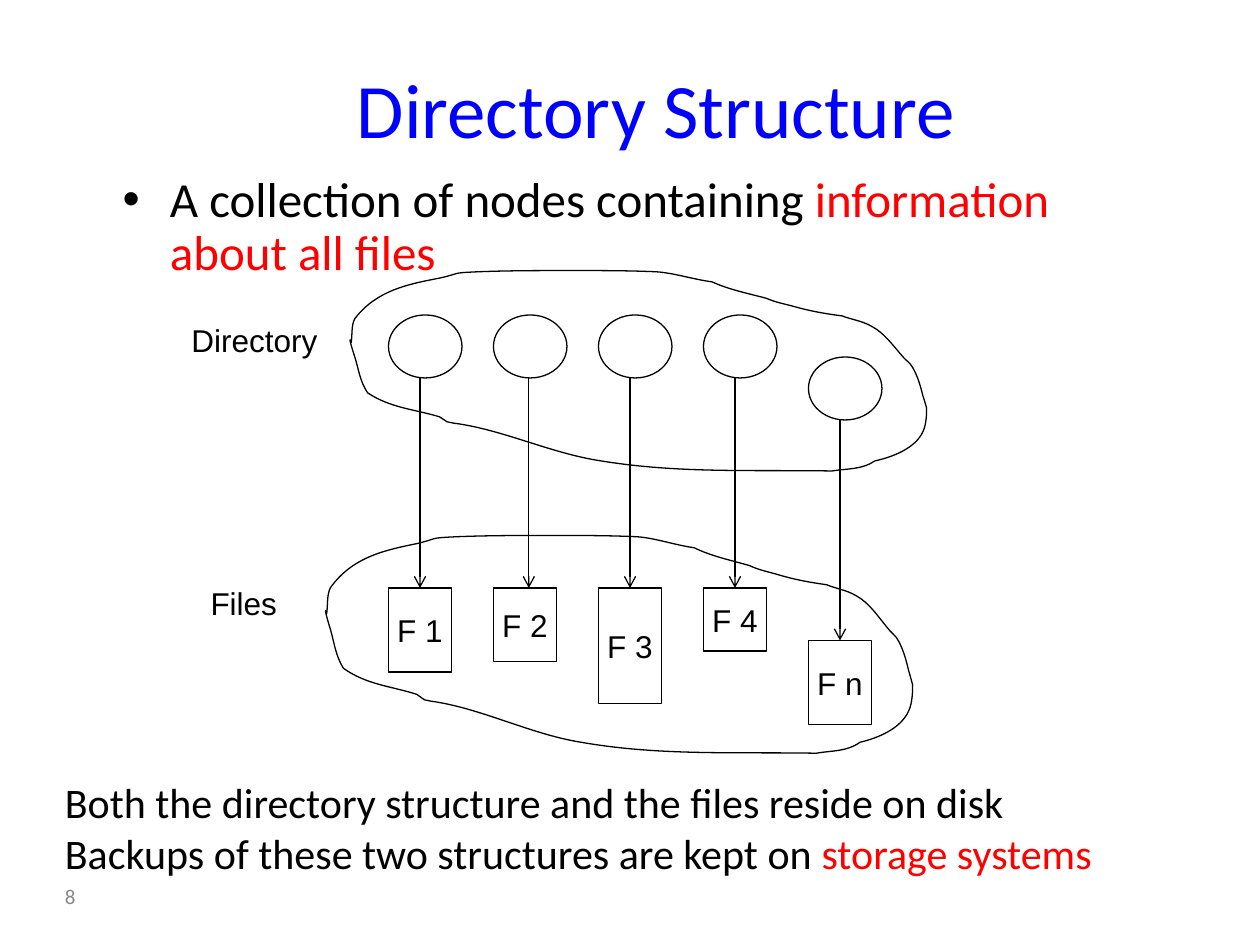
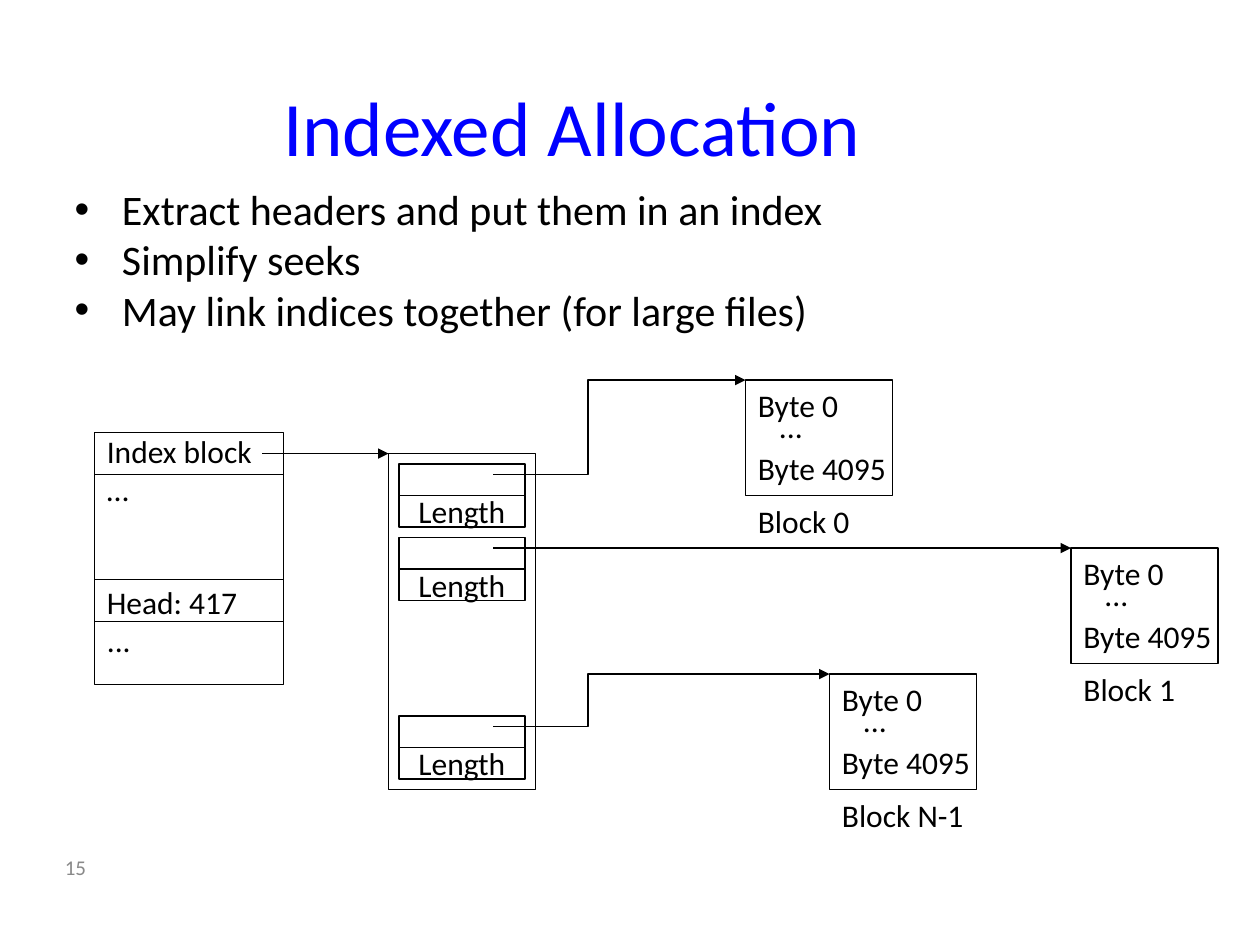
from pptx import Presentation
from pptx.dml.color import RGBColor
from pptx.enum.shapes import MSO_CONNECTOR as Connector, MSO_SHAPE as Shape
from pptx.enum.text import MSO_ANCHOR as Anchor, PP_ALIGN as Align
from pptx.oxml.ns import qn
from pptx.util import Pt
from lxml.etree import SubElement

BLACK = RGBColor(0x00, 0x00, 0x00)
WHITE = RGBColor(0xFF, 0xFF, 0xFF)
BLUE = RGBColor(0x00, 0x00, 0xFF)
RED = RGBColor(0xFF, 0x00, 0x00)
GRAY = RGBColor(0x89, 0x89, 0x89)

HEADING_FONT = "Calibri"
DIAGRAM_FONT = "Arial"
LINE_WIDTH = 0.75
BULLET_INDENT = 27

FILES = [
    ("F 1", 180, 336, 48, 18),
    ("F 2", 180, 336, 42, 20.2),
    ("F 3", 180, 336, 66, 18),
    ("F 4", 180, 336, 36, 18),
    ("F n", 204, 366, 48, 18),
]
FILE_LEFT, FILE_PITCH, FILE_WIDTH = 222, 60, 36
NODE_WIDTH, NODE_HEIGHT = 42, 36

BLOCKS = [
    ("Block 0", 426, 217.2, 265.2),
    ("Block 1", 612, 313.2, 307.2),
    ("Block N-1", 474, 385.2, 409.2),
]
BLOCK_WIDTH, BLOCK_HEIGHT = 84, 66
ENTRY_LEFT, ENTRY_WIDTH, ENTRY_HEIGHT = 228, 72, 18
LINK_START, LINK_BEND = 282, 336

OUTLINE_WIDTH, OUTLINE_HEIGHT = 457, 161
OUTLINE_START = (1, 57)
OUTLINE_CURVES = [
    ((2, 50), (1, 43), (4, 38)),
    ((21, 16), (45, 11), (71, 6)),
    ((89, 2), (79, 2), (101, 1)),
    ((126, 0), (151, 0), (177, 0)),
    ((199, 0), (221, 0), (243, 1)),
    ((257, 2), (272, 7), (287, 9)),
    ((300, 15), (315, 18), (330, 22)),
    ((337, 25), (342, 26), (350, 28)),
    ((364, 32), (375, 34), (390, 36)),
    ((398, 39), (406, 40), (413, 44)),
    ((423, 49), (430, 59), (437, 67)),
    ((440, 71), (444, 73), (446, 77)),
    ((450, 84), (452, 91), (454, 99)),
    ((455, 102), (457, 109), (457, 109)),
    ((457, 113), (457, 122), (454, 128)),
    ((448, 141), (430, 148), (416, 151)),
    ((406, 158), (394, 157), (382, 159)),
    ((318, 158), (260, 161), (199, 151)),
    ((159, 145), (121, 126), (82, 121)),
    ((80, 121), (79, 120), (77, 120)),
    ((75, 119), (73, 117), (71, 116)),
    ((51, 110), (32, 109), (14, 97)),
    ((8, 88), (7, 79), (4, 69)),
    ((4, 69), (0, 57), (0, 55)),
    ((0, 54), (1, 56), (1, 57)),
]


def add_run(paragraph, text, size, font=HEADING_FONT, color=BLACK):
    run = paragraph.add_run()
    run.text = text
    run.font.size = Pt(size)
    run.font.name = font
    run.font.color.rgb = color


def add_bullet(paragraph):
    properties = paragraph._p.get_or_add_pPr()
    properties.set("marL", str(Pt(BULLET_INDENT)))
    properties.set("indent", str(-Pt(BULLET_INDENT)))
    SubElement(properties, qn("a:buFont"), typeface=DIAGRAM_FONT)
    SubElement(properties, qn("a:buChar"), char="•")


def add_text(slide, left, top, width, height, lines, size=18, font=HEADING_FONT,
             align=Align.LEFT, anchor=Anchor.TOP, bullets=False):
    frame = slide.shapes.add_textbox(Pt(left), Pt(top), Pt(width), Pt(height)).text_frame
    frame.word_wrap = True
    frame.vertical_anchor = anchor
    for index, runs in enumerate(lines):
        paragraph = frame.add_paragraph() if index else frame.paragraphs[0]
        paragraph.alignment = align
        if bullets:
            add_bullet(paragraph)
        for text, color in runs:
            add_run(paragraph, text, size, font, color)
    return frame


def add_title(slide, text, left, top, height):
    add_text(slide, left, top, 606, height, [[(text, BLUE)]], 44,
             align=Align.CENTER, anchor=Anchor.MIDDLE)


def add_page_number(slide, number, top):
    add_text(slide, 30, top, 78, 28.8, [[(number, GRAY)]], 12, anchor=Anchor.MIDDLE)


def style_shape(shape, fill=None):
    shape.shadow.inherit = False
    if fill is None:
        shape.fill.background()
    else:
        shape.fill.solid()
        shape.fill.fore_color.rgb = fill
    shape.line.color.rgb = BLACK
    shape.line.width = Pt(LINE_WIDTH)


def add_box(parent, left, top, width, height, kind=Shape.RECTANGLE, fill=None,
            text=None, font=HEADING_FONT):
    shape = parent.shapes.add_shape(kind, Pt(left), Pt(top), Pt(width), Pt(height))
    style_shape(shape, fill)
    if text:
        frame = shape.text_frame
        frame.word_wrap = False
        frame.vertical_anchor = Anchor.MIDDLE
        frame.paragraphs[0].alignment = Align.CENTER
        add_run(frame.paragraphs[0], text, 18, font)
    return shape


def add_arrowhead(shape, head):
    SubElement(shape.line._get_or_add_ln(), qn("a:tailEnd"), type=head)


def add_line(slide, start, end, head=None):
    connector = slide.shapes.add_connector(
        Connector.STRAIGHT, *(Pt(value) for value in (*start, *end)))
    connector.line.color.rgb = BLACK
    connector.line.width = Pt(LINE_WIDTH)
    if head:
        add_arrowhead(connector, head)
    SubElement(connector._element.spPr, qn("a:effectLst"))
    return connector


def add_path(slide, points, close):
    corners = [(Pt(x), Pt(y)) for x, y in points]
    builder = slide.shapes.build_freeform(*corners[0])
    builder.add_line_segments(corners[1:], close=close)
    shape = builder.convert_to_shape()
    style_shape(shape)
    return shape


def add_group_outline(slide, left, top, width, height):
    def place(point):
        return (left + point[0] * width / OUTLINE_WIDTH,
                top + point[1] * height / OUTLINE_HEIGHT)

    ends = [OUTLINE_START] + [curve[-1] for curve in OUTLINE_CURVES]
    shape = add_path(slide, [place(end) for end in ends], close=True)
    segments = list(shape._element.iter(qn("a:lnTo")))
    for segment, curve in zip(segments, OUTLINE_CURVES):
        segment.tag = qn("a:cubicBezTo")
        for index, control in enumerate(curve[:2]):
            x, y = place(control)
            point = SubElement(segment, qn("a:pt"), x=str(Pt(x) - shape.left),
                               y=str(Pt(y) - shape.top))
            segment.insert(index, point)


def add_file(slide, left, name, node_top, file_top, file_height, arrow_offset):
    add_box(slide, left, node_top, NODE_WIDTH, NODE_HEIGHT, Shape.OVAL, WHITE)
    file_box = add_box(slide, left, file_top, FILE_WIDTH, file_height, fill=WHITE,
                       text=name, font=DIAGRAM_FONT)
    arrow_x = left + arrow_offset
    arrow = add_line(slide, (arrow_x, node_top + NODE_HEIGHT), (arrow_x, file_top), "arrow")
    if arrow_offset == FILE_WIDTH / 2:
        arrow.end_connect(file_box, 0)


def add_block(slide, label, left, top):
    add_box(slide, left, top, BLOCK_WIDTH, BLOCK_HEIGHT)
    for text, shift, drop in (("Byte 0", 0, 0), ("Byte 4095", 0, 36),
                              ("...", 12, 12), (label, 0, BLOCK_HEIGHT)):
        add_text(slide, left + shift, top + drop, 96, 28.8, [[(text, BLACK)]])


def add_index_entry(slide, top):
    entry = slide.shapes.add_group_shape()
    add_box(entry, ENTRY_LEFT, top, ENTRY_WIDTH, ENTRY_HEIGHT)
    add_box(entry, ENTRY_LEFT, top + ENTRY_HEIGHT, ENTRY_WIDTH, ENTRY_HEIGHT, text="Length")


def add_link(slide, start_y, end_x, end_y):
    start, end = (LINK_START, start_y), (end_x, end_y)
    if abs(start_y - end_y) < 1:
        add_line(slide, start, end, "triangle")
    else:
        link = add_path(slide, [start, (LINK_BEND, start_y), (LINK_BEND, end_y), end],
                        close=False)
        add_arrowhead(link, "triangle")


def build_directory_slide(slide):
    add_title(slide, "Directory Structure", 72, 34.5, 54)
    body = add_text(slide, 63, 96.5, 594, 64.8,
                    [[("A collection of nodes containing ", BLACK),
                      ("information about all files", RED)]], 28, bullets=True)
    body.paragraphs[0].line_spacing = 0.9
    for column, file in enumerate(FILES):
        add_file(slide, FILE_LEFT + column * FILE_PITCH, *file)
    add_group_outline(slide, 200, 154.6, 329.5, 116)
    add_group_outline(slide, 186, 306, 335.5, 126)
    for text, left, top in (("Directory", 97.4, 180), ("Files", 91.3, 330)):
        add_text(slide, left, top, 96, 28.8, [[(text, BLACK)]], font=DIAGRAM_FONT,
                 align=Align.CENTER, anchor=Anchor.MIDDLE)
    add_text(slide, 30, 440.3, 648, 86.4,
             [[("Both the directory structure and the files reside on disk", BLACK)],
              [("Backups of these two structures are kept on ", BLACK),
               ("storage systems", RED)]], 24)
    add_page_number(slide, "8", 497.8)


def build_allocation_slide(slide):
    add_title(slide, "Indexed Allocation", 24, 18, 108)
    add_text(slide, 35.6, 101.3, 647, 144,
             [[(text, BLACK)] for text in ("Extract headers and put them in an index",
                                           "Simplify seeks",
                                           "May link indices together (for large files)")],
             24, bullets=True)
    header = add_text(slide, 54, 243.2, 108, 137,
                      [[(text, BLACK)] for text in ("Index block", "…", "Head: 417", "...")])
    header.paragraphs[2].space_before = Pt(43.2)
    add_box(slide, 54, 247.2, 108, 144)
    for y in (271.2, 331.2, 355.2):
        add_line(slide, (54, y), (162, y))
    add_box(slide, 222, 259.2, 84, 192)
    add_line(slide, (150, 259.2), (222, 259.2), "triangle")
    for label, left, top, entry_top in BLOCKS:
        add_block(slide, label, left, top)
        add_index_entry(slide, entry_top)
        add_link(slide, entry_top + 6, left, top)
    add_page_number(slide, "15", 481)


def main():
    presentation = Presentation()
    presentation.slide_width = Pt(720)
    presentation.slide_height = Pt(540)
    for build in (build_directory_slide, build_allocation_slide):
        build(presentation.slides.add_slide(presentation.slide_layouts[6]))
    presentation.save("out.pptx")


if __name__ == "__main__":
    main()
